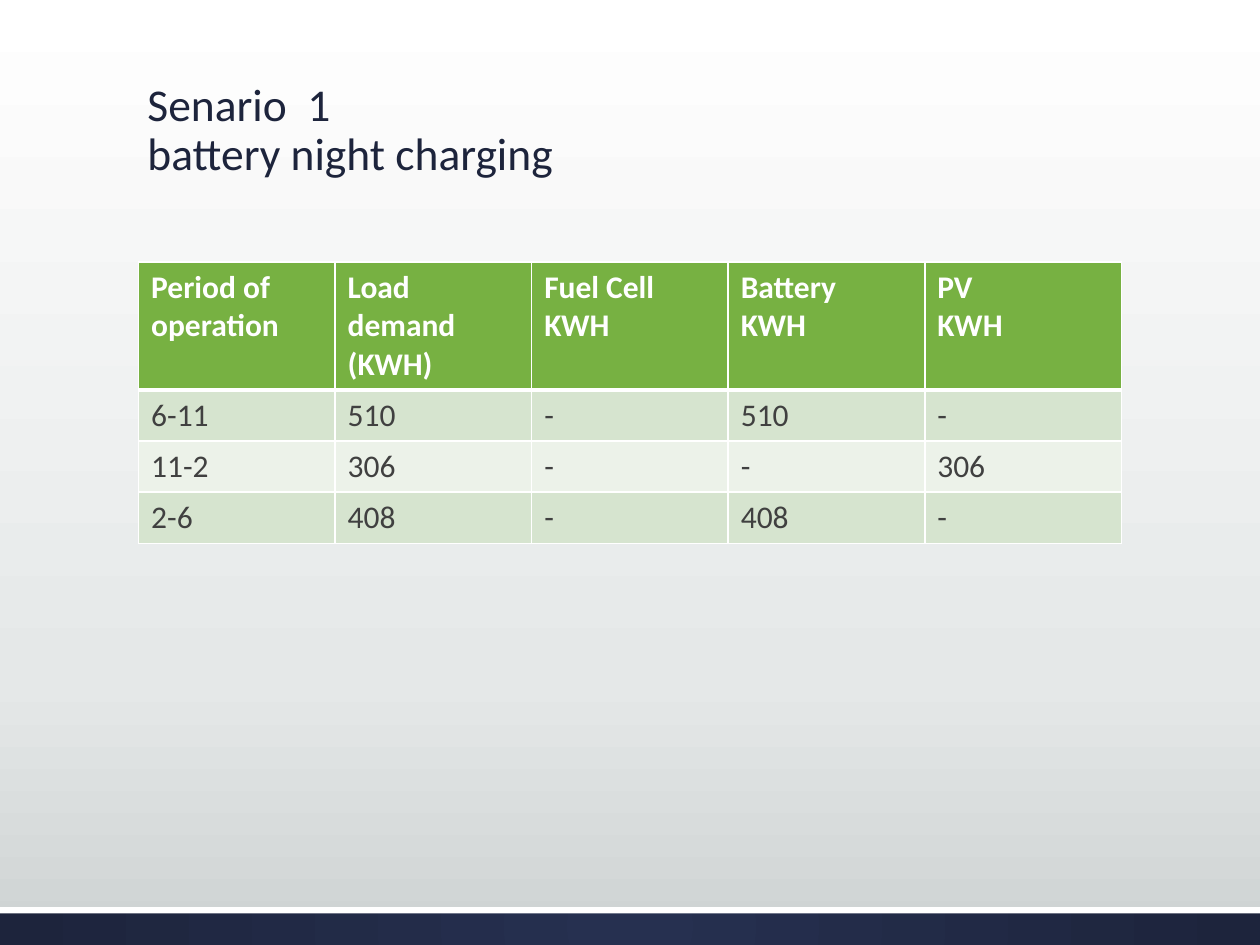
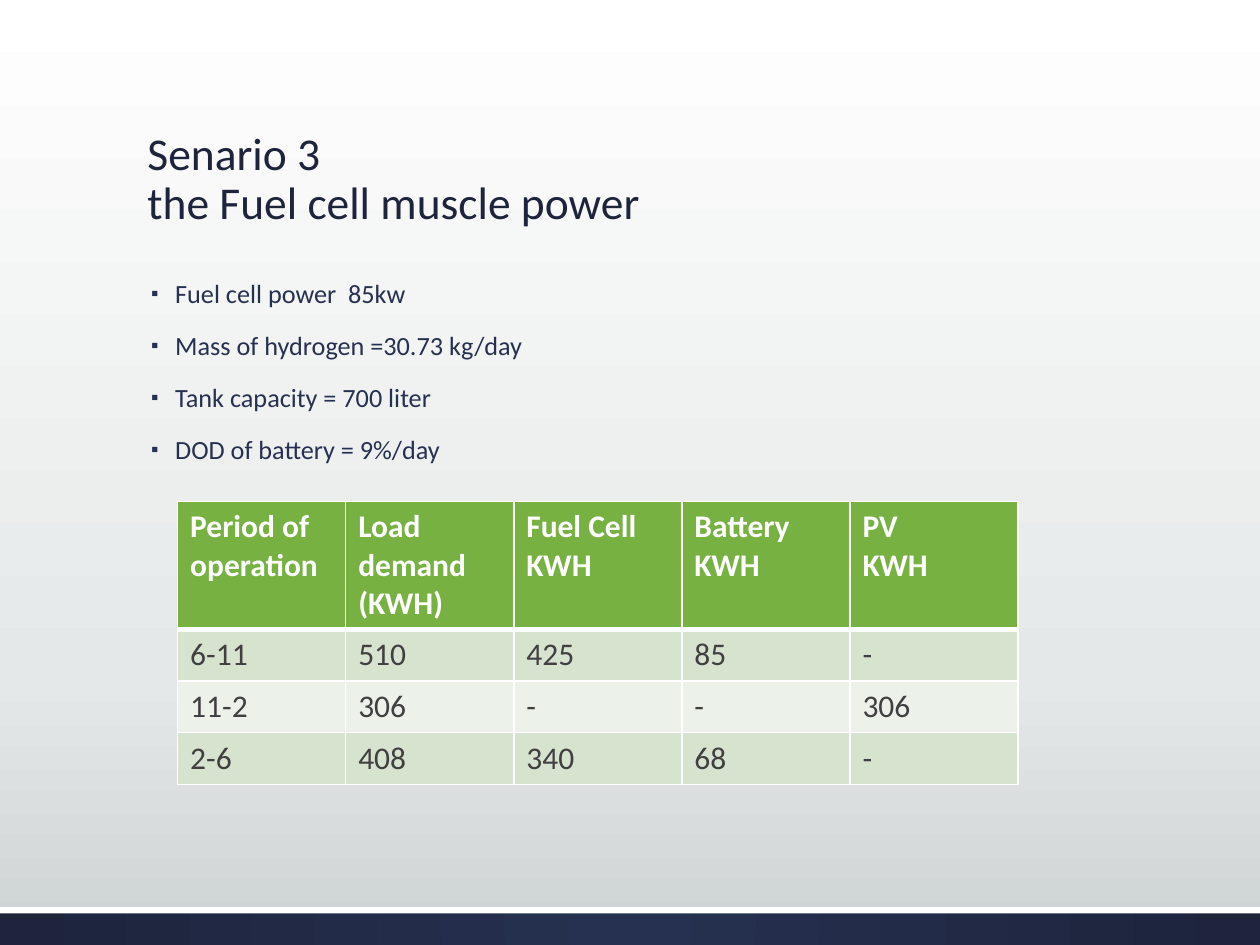
from pptx import Presentation
from pptx.dml.color import RGBColor
from pptx.enum.shapes import MSO_SHAPE
from pptx.enum.text import MSO_ANCHOR, MSO_AUTO_SIZE, PP_ALIGN
from pptx.oxml import parse_xml
from pptx.oxml.ns import nsdecls, qn
from pptx.util import Inches, Pt

FONT = "Calibri"
WHITE = RGBColor(0xFF, 0xFF, 0xFF)
NAVY = RGBColor(0x1D, 0x24, 0x3C)
LIGHT_NAVY = RGBColor(0x26, 0x30, 0x50)
PALE_GREY = RGBColor(0xE5, 0xE8, 0xE8)
GREY = RGBColor(0xCD, 0xD2, 0xD2)
DARK_GREY = RGBColor(0x40, 0x40, 0x40)
GREEN = RGBColor(0x77, 0xB1, 0x42)
ROW_TINTS = (RGBColor(0xD6, 0xE4, 0xCF), RGBColor(0xEC, 0xF2, 0xE9))

LINEAR_DOWN = '<a:lin {} ang="5400000" scaled="0"/>'
FROM_CENTRE = (
    '<a:path {} path="circle">'
    '<a:fillToRect l="50000" t="50000" r="50000" b="50000"/></a:path>'
)
TABLE_HEADER = (
    "Period of operation",
    "Load demand (KWH)",
    "Fuel Cell\nKWH",
    "Battery\nKWH",
    "PV\nKWH",
)
TITLE_ONLY, TITLE_AND_CONTENT = 5, 1


def set_gradient(fill, element, stops, direction):
    fill.gradient()
    gradient = element.find(".//" + qn("a:gradFill"))
    gradient.clear()
    stop_xml = "".join(
        f'<a:gs pos="{percent * 1000}"><a:srgbClr val="{color}"/></a:gs>'
        for percent, color in stops
    )
    gradient.append(parse_xml(f'<a:gsLst {nsdecls("a")}>{stop_xml}</a:gsLst>'))
    gradient.append(parse_xml(direction.format(nsdecls("a"))))


def set_cell_borders(cell, bottom_width):
    properties = cell._tc.get_or_add_tcPr()
    widths = {"L": 1, "R": 1, "T": 1, "B": bottom_width}
    for position, (side, width) in enumerate(widths.items()):
        line = parse_xml(
            f'<a:ln{side} {nsdecls("a")} w="{Pt(width)}"><a:solidFill>'
            f'<a:srgbClr val="{WHITE}"/></a:solidFill></a:ln{side}>'
        )
        properties.insert(position, line)


def set_bullet(paragraph):
    properties = paragraph._p.get_or_add_pPr()
    properties.set("marL", str(Inches(0.23)))
    properties.set("indent", str(Inches(-0.19)))
    for tag, content in (
        ("buClr", f'><a:srgbClr val="{LIGHT_NAVY}"/></a:buClr>'),
        ("buSzPct", ' val="80000"/>'),
        ("buChar", ' char="▪"/>'),
    ):
        properties.append(parse_xml(f'<a:{tag} {nsdecls("a")}{content}'))


class DeckBuilder:
    def __init__(self):
        self.presentation = Presentation()
        self.presentation.slide_width = Inches(10)
        self.presentation.slide_height = Inches(7.5)
        self.slide = None
        master = self.presentation.slide_master
        stops = ((0, WHITE), (72, PALE_GREY), (100, GREY))
        set_gradient(master.background.fill, master.element, stops, LINEAR_DOWN)

    def add_slide(self, layout_index):
        layout = self.presentation.slide_layouts[layout_index]
        self.slide = self.presentation.slides.add_slide(layout)
        footer = self.add_band(0.3)
        stops = ((0, LIGHT_NAVY), (100, NAVY))
        set_gradient(footer.fill, footer._element, stops, FROM_CENTRE)
        stripe = self.add_band(0.05)
        stripe.fill.solid()
        stripe.fill.fore_color.rgb = WHITE

    def add_band(self, height):
        band = self.slide.shapes.add_shape(
            MSO_SHAPE.RECTANGLE, 0, Inches(7.2), Inches(10), Inches(height)
        )
        band.shadow.inherit = False
        band.line.fill.background()
        return band

    def style_paragraph(self, paragraph, size, color, bold=False):
        paragraph.alignment = PP_ALIGN.LEFT
        paragraph.font.name = FONT
        paragraph.font.size = Pt(size)
        paragraph.font.bold = bold
        paragraph.font.color.rgb = color

    def place_text(self, shape, left, top, width, height, anchor):
        shape.left, shape.top = Inches(left), Inches(top)
        shape.width, shape.height = Inches(width), Inches(height)
        frame = shape.text_frame
        frame.word_wrap = True
        frame.auto_size = MSO_AUTO_SIZE.NONE
        frame.vertical_anchor = anchor
        frame.margin_left = frame.margin_right = Inches(0.07)
        frame.margin_top = frame.margin_bottom = Inches(0.04)
        return frame

    def add_title(self, text, bottom_margin=0.04):
        title = self.slide.shapes.title
        frame = self.place_text(title, 1.1, 0.51, 7.8, 1.35, MSO_ANCHOR.BOTTOM)
        frame.margin_bottom = Inches(bottom_margin)
        paragraph = frame.paragraphs[0]
        paragraph.text = text
        paragraph.line_spacing = 0.9
        self.style_paragraph(paragraph, 26, NAVY)

    def add_bullets(self, lines):
        body = self.slide.placeholders[1]
        frame = self.place_text(body, 1.09, 2.19, 7.8, 4.51, MSO_ANCHOR.TOP)
        frame.text = "\n".join(lines)
        for paragraph in frame.paragraphs:
            set_bullet(paragraph)
            paragraph.line_spacing = 0.9
            paragraph.space_before = Pt(13.5)
            self.style_paragraph(paragraph, 15, LIGHT_NAVY)

    def add_energy_table(self, left, top, width, header_height, row_height, periods):
        rows = (TABLE_HEADER, *periods)
        height = header_height + row_height * len(periods)
        table = self.slide.shapes.add_table(
            len(rows), len(TABLE_HEADER),
            Inches(left), Inches(top), Inches(width), Inches(height),
        ).table
        for row_index, values in enumerate(rows):
            is_header = row_index == 0
            table.rows[row_index].height = Inches(header_height if is_header else row_height)
            for column_index, value in enumerate(values):
                cell = table.cell(row_index, column_index)
                cell.text = value
                cell.fill.solid()
                cell.fill.fore_color.rgb = GREEN if is_header else ROW_TINTS[(row_index - 1) % 2]
                set_cell_borders(cell, 3 if is_header else 1)
                for paragraph in cell.text_frame.paragraphs:
                    self.style_paragraph(
                        paragraph, 18, WHITE if is_header else DARK_GREY, is_header
                    )


def main():
    deck = DeckBuilder()

    deck.add_slide(TITLE_ONLY)
    deck.add_title("Senario  1\nbattery night charging", bottom_margin=0.43)
    deck.add_energy_table(1.1, 2.08, 7.8, 0.79, 0.4, (
        ("6-11", "510", "-", "510", "-"),
        ("11-2", "306", "-", "-", "306"),
        ("2-6", "408", "-", "408", "-"),
    ))

    deck.add_slide(TITLE_AND_CONTENT)
    deck.add_title("Senario 3\nthe Fuel cell muscle power")
    deck.add_bullets((
        "Fuel cell power  85kw",
        "Mass of hydrogen =30.73 kg/day",
        "Tank capacity = 700 liter",
        "DOD of battery = 9%/day",
    ))
    deck.add_energy_table(1.41, 3.98, 6.67, 0.41, 0.41, (
        ("6-11", "510", "425", "85", "-"),
        ("11-2", "306", "-", "-", "306"),
        ("2-6", "408", "340", "68", "-"),
    ))

    deck.presentation.save("out.pptx")


if __name__ == "__main__":
    main()
